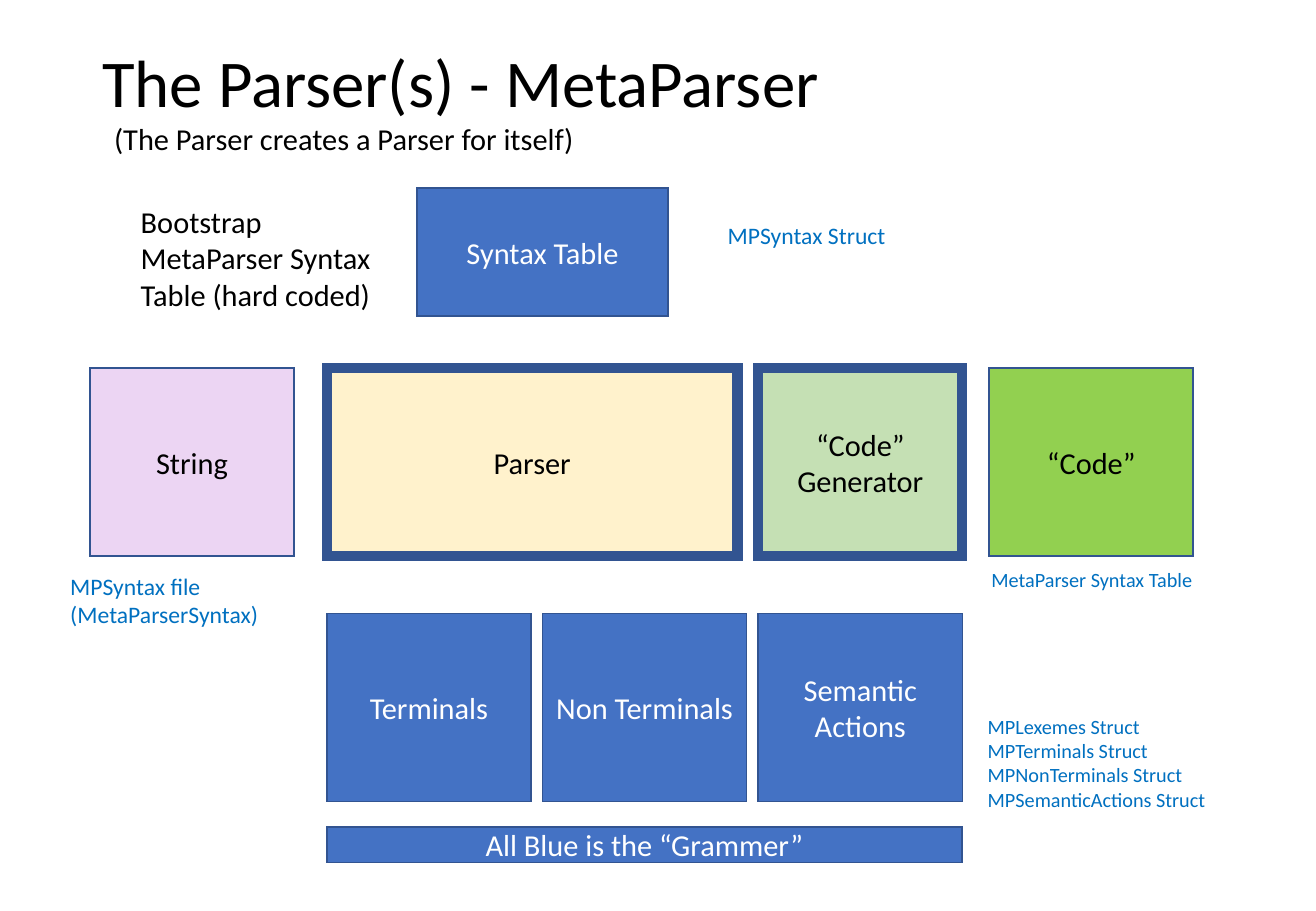
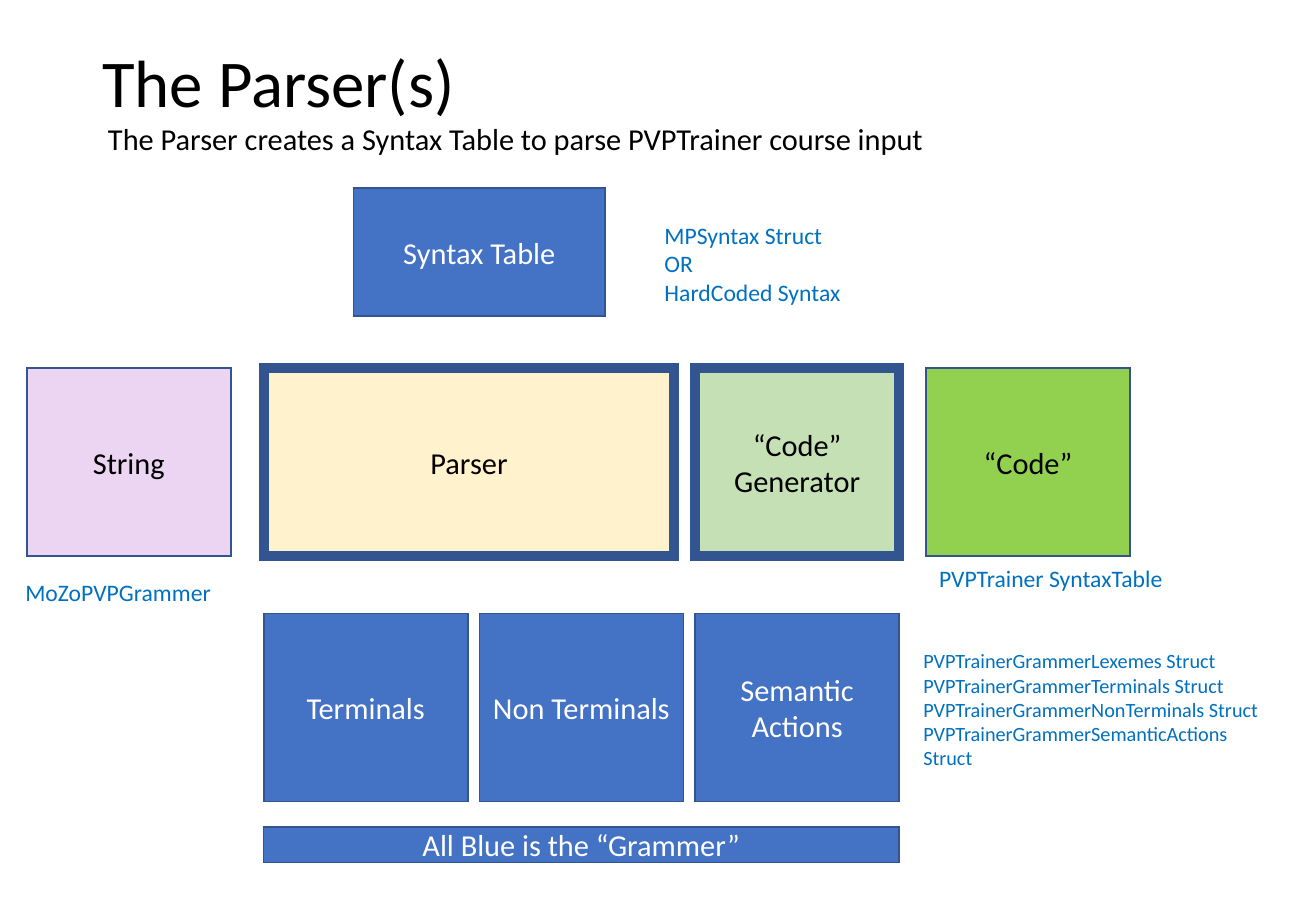
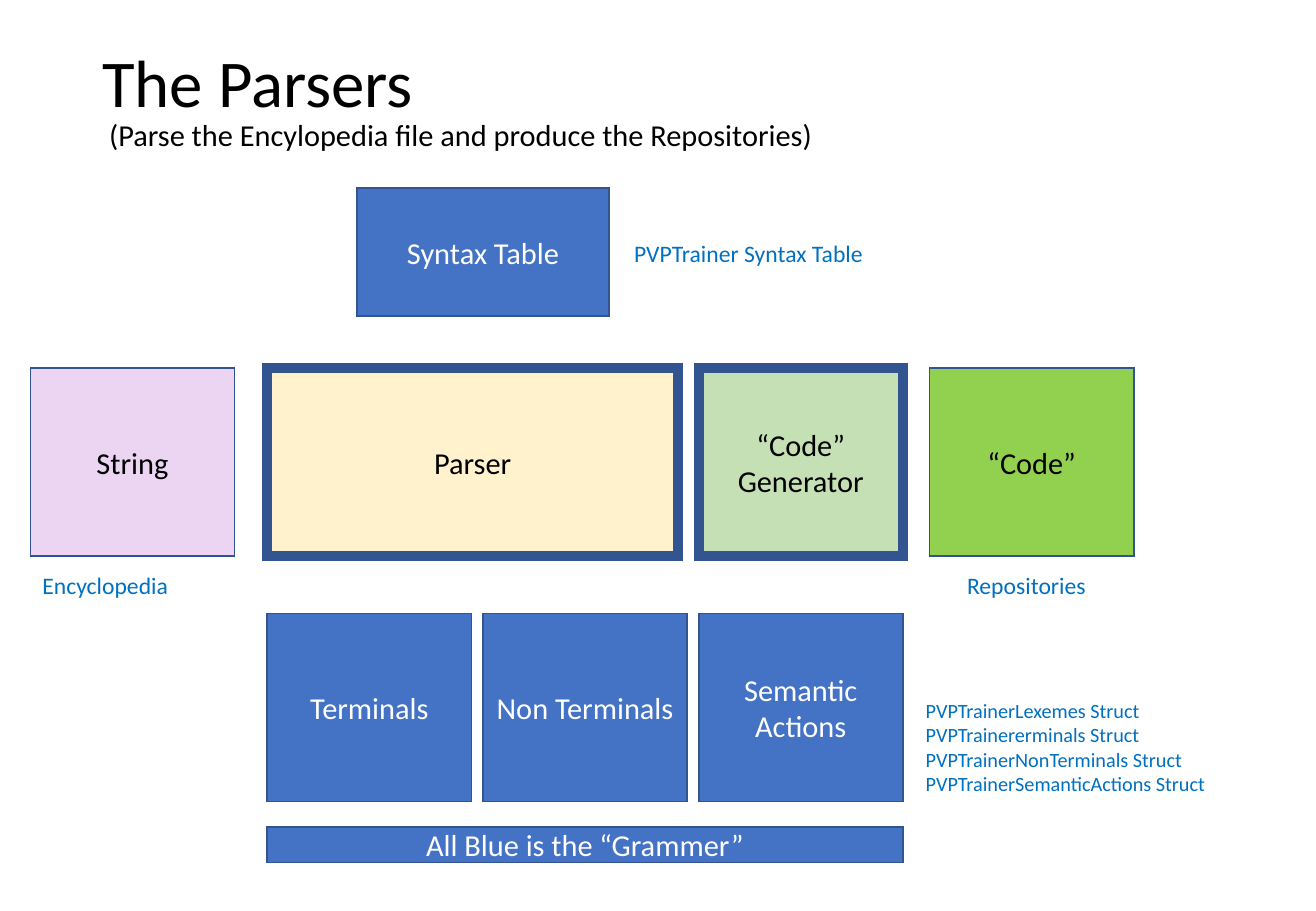
"""Build three slides that chart how the parsers work."""
from dataclasses import dataclass
from typing import Any

from lxml import etree
from pptx import Presentation
from pptx.dml.color import RGBColor
from pptx.enum.shapes import MSO_SHAPE
from pptx.enum.text import MSO_ANCHOR, MSO_AUTO_SIZE, PP_ALIGN
from pptx.oxml.ns import qn
from pptx.util import Inches, Pt

RECT = MSO_SHAPE.RECTANGLE
MIDDLE, TOP = MSO_ANCHOR.MIDDLE, MSO_ANCHOR.TOP
FIXED, GROW = MSO_AUTO_SIZE.NONE, MSO_AUTO_SIZE.SHAPE_TO_FIT_TEXT
LEFT, CENTER = PP_ALIGN.LEFT, PP_ALIGN.CENTER

BLACK = RGBColor(0x00, 0x00, 0x00)
WHITE = RGBColor(0xFF, 0xFF, 0xFF)
BLUE = RGBColor(0x44, 0x72, 0xC4)
NAVY = RGBColor(0x32, 0x54, 0x91)
SKY = RGBColor(0x00, 0x70, 0xC0)
CREAM = RGBColor(0xFF, 0xF2, 0xCC)
LILAC = RGBColor(0xEC, 0xD5, 0xF3)
LIME = RGBColor(0x92, 0xD0, 0x50)
SAGE = RGBColor(0xC5, 0xE0, 0xB4)

FONT = "Calibri"
WIDE, TALL = 1.68, 1.55
SPAN = 5.23
STEP = (SPAN - WIDE) / 2
ROW_ONE, ROW_TWO = 3.03, 5.05

BOX_FRAME = {"vertical_anchor": MIDDLE, "word_wrap": True, "auto_size": FIXED}
NOTE_FRAME = {"vertical_anchor": TOP, "auto_size": GROW}
TITLE_PARA = {"alignment": LEFT, "line_spacing": 0.9}
BOX_PARA = {"alignment": CENTER}
NOTE_PARA = {"alignment": LEFT}


@dataclass(frozen=True)
class Box:
    """A filled box, placed relative to the left edge of the parser."""
    text: str
    left: float
    top: float
    width: float = WIDE
    height: float = TALL
    fill: RGBColor = BLUE
    ink: RGBColor = WHITE
    line: float = 1


@dataclass(frozen=True)
class Note:
    """A free label with one paragraph for each line of text."""
    text: str
    left: float
    top: float
    width: float
    height: float = 0.34
    size: float = 14
    ink: RGBColor = SKY
    wrap: bool = True


@dataclass(frozen=True)
class Page:
    """A slide with its title, the left edge of its parser and its labels."""
    title: str
    left: float
    notes: tuple[Note, ...]


BOXES = (
    Box("Parser", 0, ROW_ONE, 3.38, fill=CREAM, ink=BLACK, line=6),
    Box("Syntax Table", 0.74, 1.55, 2.07, 1.05),
    Box("String", -1.95, ROW_ONE, fill=LILAC, ink=BLACK),
    *(Box(text, col * STEP, ROW_TWO) for col, text in
      enumerate(("Terminals", "Non Terminals", "Semantic Actions"))),
    Box("All Blue is the “Grammer”", 0, 6.81, SPAN, 0.29),
    Box("“Code”", 5.45, ROW_ONE, fill=LIME, ink=BLACK),
    Box("“Code”\nGenerator", 2 * STEP, ROW_ONE, fill=SAGE, ink=BLACK, line=6),
)

PAGES = (
    Page("The Parser(s) - MetaParser", 2.69, (
        Note("Bootstrap MetaParser Syntax Table (hard coded)",
             1.06, 1.62, 2.29, 1.01, 18, BLACK),
        Note("MPSyntax file\n(MetaParserSyntax)", 0.48, 4.66, 1.77, 0.57, wrap=False),
        Note("MetaParser Syntax Table", 8.06, 4.62, 2.71, 0.4, 12),
        Note("(The Parser creates a Parser for itself)",
             0.84, 0.94, 4.09, 0.4, 18, BLACK, False),
        Note("MPLexemes Struct\nMPTerminals Struct\nMPNonTerminals Struct\n"
             "MPSemanticActions Struct", 8.03, 5.83, 2.61, 0.91, 12),
        Note("MPSyntax Struct", 5.89, 1.77, 2.44),
    )),
    Page("The Parser(s)", 2.17, (
        Note("The Parser creates a Syntax Table to parse PVPTrainer course input",
             0.79, 0.94, 6.99, 0.4, 18, BLACK, False),
        Note("MoZoPVPGrammer", 0.11, 4.71, 2),
        Note("PVPTrainerGrammerLexemes Struct\nPVPTrainerGrammerTerminals Struct\n"
             "PVPTrainerGrammerNonTerminals Struct\n"
             "PVPTrainerGrammerSemanticActions Struct", 7.5, 5.29, 3.06, 1.11, 12),
        Note("MPSyntax Struct\nOR\nHardCoded Syntax", 5.37, 1.77, 2.44, 0.81),
        Note("PVPTrainer SyntaxTable", 7.63, 4.59, 2.06),
    )),
    Page("The Parsers", 2.2, (
        Note("(Parse the Encylopedia file and produce the Repositories)",
             0.8, 0.91, 6.06, 0.4, 18, BLACK, False),
        Note("Encyclopedia", 0.25, 4.65, 1.25),
        Note("Repositories", 7.86, 4.65, 1.25),
        Note("PVPTrainerLexemes Struct\nPVPTrainererminals Struct\n"
             "PVPTrainerNonTerminals Struct\nPVPTrainerSemanticActions Struct",
             7.52, 5.7, 3.06, 0.91, 12),
        Note("PVPTrainer Syntax Table", 5.12, 1.92, 2.3),
    )),
)


def apply(target: Any, values: dict[str, Any]) -> None:
    """Set each named value on the target."""
    for name, value in values.items():
        setattr(target, name, value)


def write(shape: Any, text: str, size: float, ink: RGBColor,
          frame: dict[str, Any], para: dict[str, Any]) -> None:
    """Fill a shape with text and format each paragraph."""
    body = shape.text_frame
    body.text = text
    apply(body, frame)
    for item in body.paragraphs:
        apply(item, para)
        for run in item.runs:
            apply(run.font, {"name": FONT, "size": Pt(size)})
            run.font.color.rgb = ink


def draw_title(slide: Any, text: str) -> None:
    """Place and format the slide title."""
    title = slide.shapes.title
    apply(title, {"left": Inches(0.74), "top": Inches(0.4),
                  "width": Inches(9.34), "height": Inches(0.61)})
    write(title, text, 39.6, BLACK, BOX_FRAME, TITLE_PARA)


def draw_box(slide: Any, box: Box, left: float) -> None:
    """Draw one sharp-cornered box, moved right by the given offset."""
    shape = slide.shapes.add_shape(
        RECT, Inches(left + box.left), Inches(box.top),
        Inches(box.width), Inches(box.height))
    shape.shadow.inherit = False
    shape.fill.solid()
    shape.fill.fore_color.rgb = box.fill
    shape.line.color.rgb = NAVY
    shape.line.width = Pt(box.line)
    edge = shape.element.spPr.find(qn("a:ln"))
    etree.SubElement(edge, qn("a:miter"), lim="800000")
    write(shape, box.text, 18, box.ink, BOX_FRAME, BOX_PARA)


def draw_note(slide: Any, note: Note) -> None:
    """Draw one free label."""
    shape = slide.shapes.add_textbox(
        Inches(note.left), Inches(note.top), Inches(note.width), Inches(note.height))
    frame = {**NOTE_FRAME, "word_wrap": note.wrap}
    write(shape, note.text, note.size, note.ink, frame, NOTE_PARA)


def main() -> None:
    """Build and save the slides."""
    deck = Presentation()
    apply(deck, {"slide_width": Inches(10.83), "slide_height": Inches(7.5)})
    for page in PAGES:
        slide = deck.slides.add_slide(deck.slide_layouts[5])
        draw_title(slide, page.title)
        for box in BOXES:
            draw_box(slide, box, page.left)
        for note in page.notes:
            draw_note(slide, note)
    deck.save("out.pptx")


if __name__ == "__main__":
    main()
